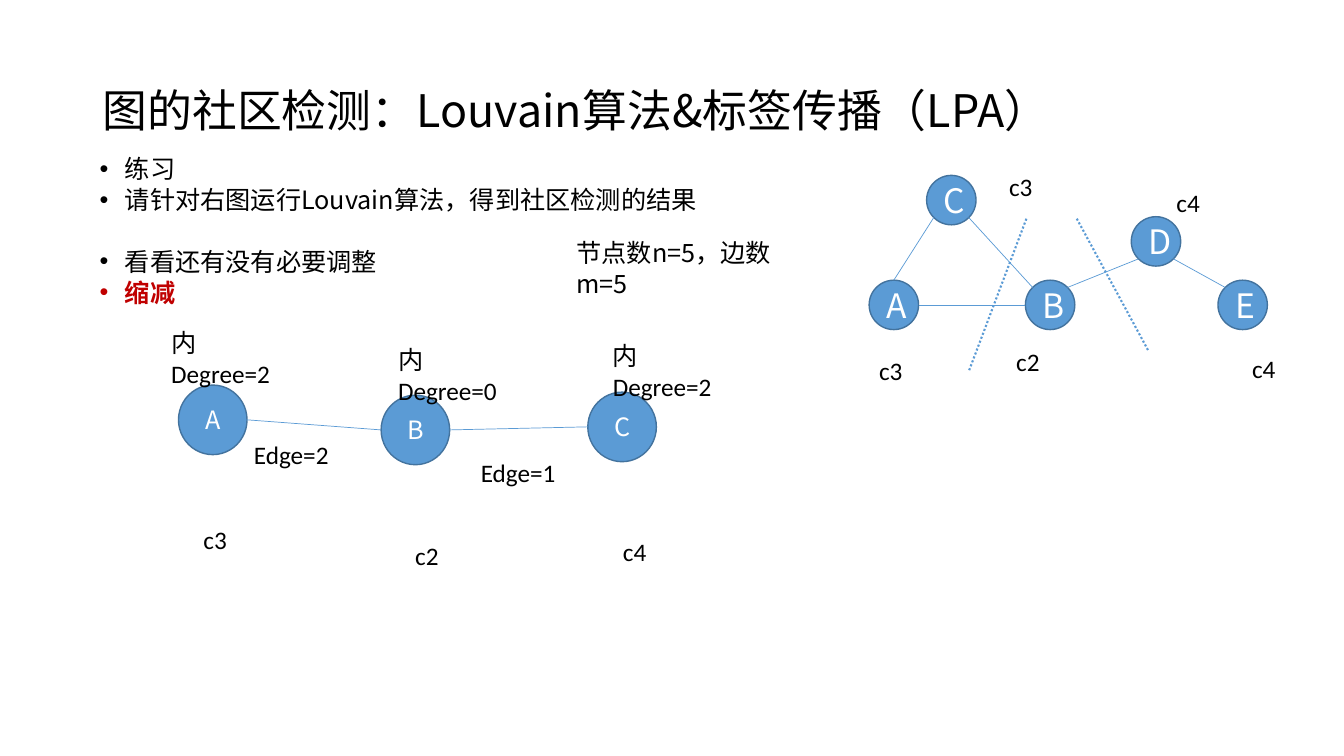
from lxml import etree
from pptx import Presentation
from pptx.dml.color import RGBColor
from pptx.enum.dml import MSO_LINE
from pptx.enum.shapes import MSO_CONNECTOR, MSO_SHAPE
from pptx.enum.text import MSO_ANCHOR, PP_ALIGN
from pptx.oxml.ns import qn
from pptx.util import Inches, Pt

STRAIGHT = MSO_CONNECTOR.STRAIGHT
OVAL = MSO_SHAPE.OVAL
DOTTED = MSO_LINE.ROUND_DOT
MIDDLE = MSO_ANCHOR.MIDDLE
CENTER = PP_ALIGN.CENTER

CJK_FONT = "Noto Sans CJK SC"
LATIN_FONT = "Calibri"
COLORS = {"text": "000000", "accent": "C00000", "node": "5B9BD5",
          "outline": "43739E", "node_text": "FFFFFF"}

TITLE = "图的社区检测：Louvain算法&标签传播（LPA）"
BULLETS = [
    ("练习", 0, False),
    ("请针对右图运行Louvain算法，得到社区检测的结果", 0, False),
    ("看看还有没有必要调整", 22, False),
    ("缩减", 0, True),
]

GRAPHS = [
    {"size": (0.49, 0.49), "font_size": 24,
     "nodes": {"C": (9.19, 1.74), "A": (8.62, 2.78), "B": (10.17, 2.78),
               "D": (11.22, 2.15), "E": (12.08, 2.78)},
     "edges": [("C", "bottom left", "A", "top"), ("B", "left", "A", "right"),
               ("B", "top left", "C", "bottom right"),
               ("B", "top right", "D", "bottom left"),
               ("E", "top left", "D", "bottom right")]},
    {"size": (0.68, 0.69), "font_size": 18,
     "nodes": {"A": (1.77, 3.82), "B": (3.78, 3.92), "C": (5.83, 3.89)},
     "edges": [("A", "right", "B", "left"), ("B", "right", "C", "left")]},
]
CUTS = [((10.18, 2.17), (9.61, 3.68)), ((10.68, 2.17), (11.39, 3.48))]

COMMUNITY_LABELS = [
    ("c2", 9.98, 3.39), ("c3", 9.91, 1.65), ("c4", 11.57, 1.81),
    ("c3", 8.62, 3.48), ("c4", 12.32, 3.46), ("c3", 1.92, 5.15),
    ("c2", 4.02, 5.31), ("c4", 6.08, 5.27),
]
EDGE_LABELS = [("Edge=2", 2.42, 4.31), ("Edge=1", 4.67, 4.49)]
DEGREE_LABELS = [("内Degree=2", 1.6, 3.19), ("内Degree=0", 3.85, 3.36),
                 ("内Degree=2", 5.98, 3.32)]
COUNT_LABEL = ("节点数n=5，边数m=5", 5.62, 2.3)


def color(name):
    return RGBColor.from_string(COLORS[name])


def add_run(paragraph, text, size, font_name, color_name, bold=False):
    run = paragraph.add_run()
    run.text = text
    run.font.size = Pt(size)
    run.font.name = font_name
    run.font.bold = bold
    run.font.color.rgb = color(color_name)
    east_asian = etree.Element(qn("a:ea"), typeface=CJK_FONT)
    run.font._element.find(qn("a:latin")).addnext(east_asian)


def add_text_frame(slide, left, top, width, height, wrap=True):
    shape = slide.shapes.add_textbox(
        Inches(left), Inches(top), Inches(width), Inches(height))
    shape.text_frame.word_wrap = wrap
    return shape.text_frame


def add_label(slide, label, width, font_name=LATIN_FONT, wrap=False):
    text, left, top = label
    paragraph = add_text_frame(slide, left, top, width, 0.4, wrap).paragraphs[0]
    if wrap:
        paragraph.line_spacing = Pt(22)
    add_run(paragraph, text, 18, font_name, "text")


def add_bullets(slide):
    frame = add_text_frame(slide, 0.89, 1.47, 11.5, 5.63)
    for index, (text, space_before, accent) in enumerate(BULLETS):
        paragraph = frame.add_paragraph() if index else frame.paragraphs[0]
        paragraph.line_spacing = Pt(22)
        paragraph.space_before = Pt(space_before)
        properties = paragraph._p.get_or_add_pPr()
        properties.set("marL", str(Inches(0.25)))
        properties.set("indent", str(-Inches(0.25)))
        etree.SubElement(properties, qn("a:buFont"), typeface="Arial")
        etree.SubElement(properties, qn("a:buChar"), char="•")
        add_run(paragraph, text, 18, CJK_FONT, "accent" if accent else "text", accent)


def add_line(slide, start, end, width, dash=None):
    points = [Inches(value) for value in (*start, *end)]
    line = slide.shapes.add_connector(STRAIGHT, *points)
    line.line.color.rgb = color("node")
    line.line.width = Pt(width)
    if dash is not None:
        line.line.dash_style = dash
    etree.SubElement(line._element.spPr, qn("a:effectLst"))


def rim_point(corner, size, side):
    across = ("right" in side) - ("left" in side)
    down = ("bottom" in side) - ("top" in side)
    reach = 0.5 / (across ** 2 + down ** 2) ** 0.5
    return (corner[0] + size[0] * (0.5 + across * reach),
            corner[1] + size[1] * (0.5 + down * reach))


def add_graph(slide, graph):
    nodes, size = graph["nodes"], graph["size"]
    for name, corner in nodes.items():
        node = slide.shapes.add_shape(
            OVAL, *[Inches(value) for value in (*corner, *size)])
        node.shadow.inherit = False
        node.fill.solid()
        node.fill.fore_color.rgb = color("node")
        node.line.color.rgb = color("outline")
        node.line.width = Pt(1)
        node.text_frame.vertical_anchor = MIDDLE
        paragraph = node.text_frame.paragraphs[0]
        paragraph.alignment = CENTER
        add_run(paragraph, name, graph["font_size"], CJK_FONT, "node_text")
    for start, start_side, end, end_side in graph["edges"]:
        add_line(slide, rim_point(nodes[start], size, start_side),
                 rim_point(nodes[end], size, end_side), 0.5)


def main():
    presentation = Presentation()
    presentation.slide_width = Inches(13.33)
    presentation.slide_height = Inches(7.5)
    slide = presentation.slides.add_slide(presentation.slide_layouts[6])

    title_frame = add_text_frame(slide, 0.92, 0.4, 11.5, 1.45)
    title_frame.vertical_anchor = MIDDLE
    title_frame.paragraphs[0].line_spacing = 0.9
    add_run(title_frame.paragraphs[0], TITLE, 32, CJK_FONT, "text")
    add_bullets(slide)

    for graph in GRAPHS:
        add_graph(slide, graph)
    for start, end in CUTS:
        add_line(slide, start, end, 1.5, DOTTED)

    for label in COMMUNITY_LABELS:
        add_label(slide, label, 0.44)
    for label in EDGE_LABELS:
        add_label(slide, label, 0.95)
    for label in DEGREE_LABELS:
        add_label(slide, label, 1.4, wrap=True)
    add_label(slide, COUNT_LABEL, 2.4, CJK_FONT, wrap=True)

    presentation.save("out.pptx")


if __name__ == "__main__":
    main()
